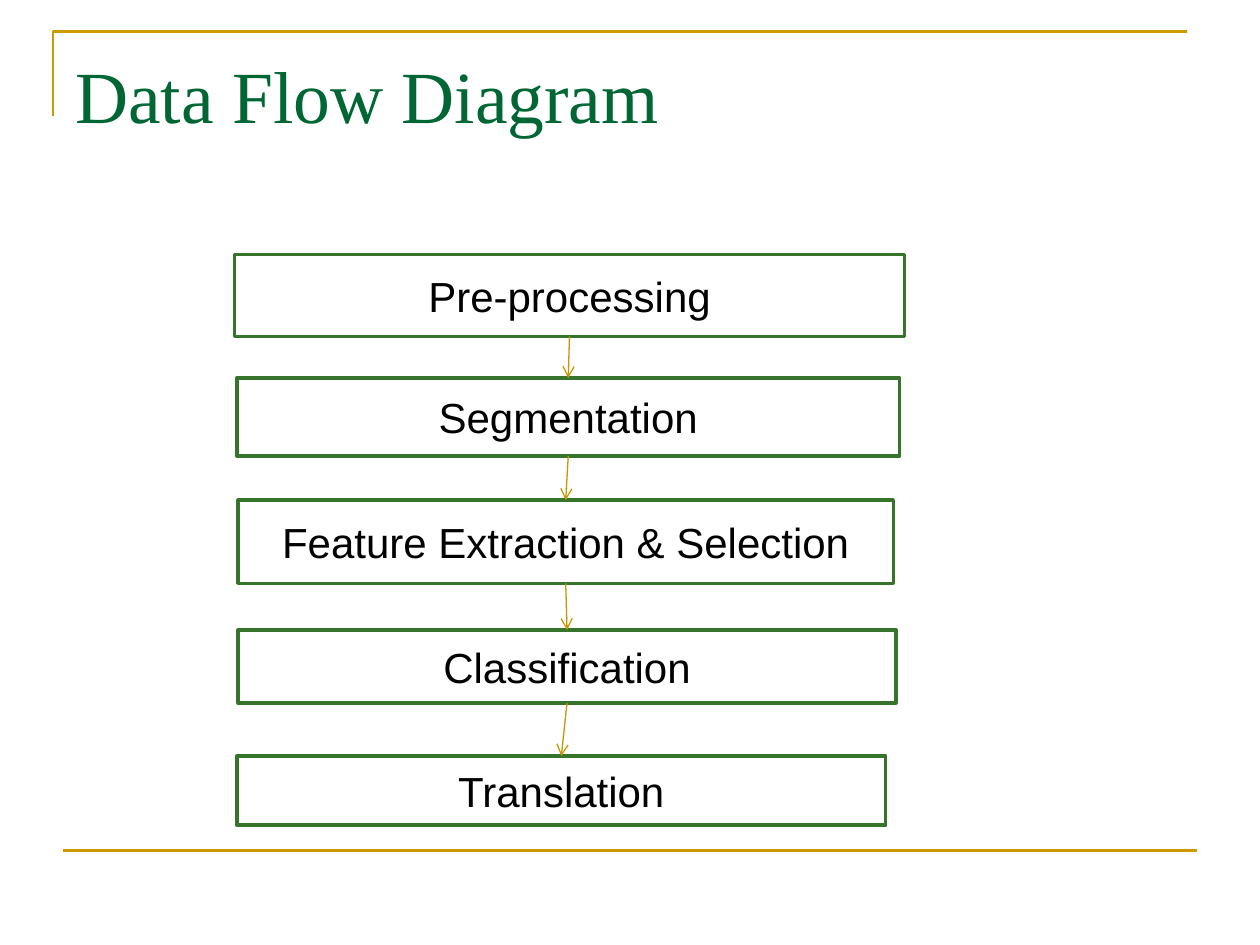
from itertools import pairwise

from lxml.etree import SubElement
from pptx import Presentation
from pptx.dml.color import RGBColor
from pptx.enum.shapes import MSO_CONNECTOR, MSO_SHAPE
from pptx.enum.text import MSO_ANCHOR, PP_ALIGN
from pptx.oxml.ns import qn
from pptx.util import Inches, Pt

COLORS = {
    "background": "FFFFFF",
    "frame": "CC9900",
    "title": "006633",
    "border": "35742A",
    "arrow": "C89600",
    "text": "000000",
}
STEPS = [
    ("Pre-processing", 0, 0, 5.32, 0.65),
    ("Segmentation", 0.02, 0.98, 5.26, 0.62),
    ("Feature Extraction & Selection", 0.03, 1.95, 5.2, 0.66),
    ("Classification", 0.03, 2.98, 5.22, 0.58),
    ("Translation", 0.02, 3.98, 5.15, 0.55),
]


def color(name):
    """Return the named colour."""
    return RGBColor.from_string(COLORS[name])


def add_text(paragraph, text, font_name, size, color_name):
    """Add one formatted run to a paragraph."""
    run = paragraph.add_run()
    run.text = text
    run.font.name = font_name
    run.font.size = Pt(size)
    run.font.color.rgb = color(color_name)


def add_line(slide, start, end, color_name, width):
    """Draw a straight line without a shadow."""
    points = [Inches(value) for value in (*start, *end)]
    connector = slide.shapes.add_connector(MSO_CONNECTOR.STRAIGHT, *points)
    connector.line.color.rgb = color(color_name)
    connector.line.width = Pt(width)
    SubElement(connector._element.spPr, qn("a:effectLst"))
    return connector


def add_frame(slide, left, top, width, height):
    """Draw the corner outline and the bottom rule."""
    builder = slide.shapes.build_freeform(Inches(left), Inches(top + 0.67))
    corner = [(left, top), (left + width, top)]
    builder.add_line_segments([(Inches(x), Inches(y)) for x, y in corner], close=False)
    outline = builder.convert_to_shape()
    outline.shadow.inherit = False
    outline.fill.background()
    outline.line.color.rgb = color("frame")
    outline.line.width = Pt(1.5)
    bottom = top + height
    add_line(slide, (left + 0.08, bottom), (left + width + 0.08, bottom), "frame", 1.5)


def add_title(slide, left, top, width, height):
    """Place the slide title."""
    box = slide.shapes.add_textbox(Inches(left), Inches(top), Inches(width), Inches(height))
    frame = box.text_frame
    frame.word_wrap = True
    frame.margin_top = Inches(0.1)
    add_text(frame.paragraphs[0], "Data Flow Diagram", "Times New Roman", 42, "title")


def add_step(slide, text, left, top, width, height):
    """Draw one step of the flow."""
    shape = slide.shapes.add_shape(
        MSO_SHAPE.RECTANGLE, Inches(left), Inches(top), Inches(width), Inches(height)
    )
    shape.shadow.inherit = False
    shape.fill.solid()
    shape.fill.fore_color.rgb = color("background")
    shape.line.color.rgb = color("border")
    shape.line.width = Pt(2)
    frame = shape.text_frame
    frame.word_wrap = True
    frame.vertical_anchor = MSO_ANCHOR.MIDDLE
    paragraph = frame.paragraphs[0]
    paragraph.alignment = PP_ALIGN.CENTER
    add_text(paragraph, text, "Arial", 24, "text")
    return shape


def add_flow(slide, left, top):
    """Stack the steps and join each one to the next."""
    shapes = [
        add_step(slide, text, left + x, top + y, width, height)
        for text, x, y, width, height in STEPS
    ]
    for source, target in pairwise(shapes):
        arrow = add_line(slide, (left, top), (left, top), "arrow", 0.75)
        arrow.begin_connect(source, 2)
        arrow.end_connect(target, 0)
        SubElement(arrow.line._get_or_add_ln(), qn("a:tailEnd"), type="arrow")


def main():
    """Build and save the slide."""
    presentation = Presentation()
    presentation.slide_width = Inches(10)
    presentation.slide_height = Inches(7.5)
    slide = presentation.slides.add_slide(presentation.slide_layouts[6])
    slide.background.fill.solid()
    slide.background.fill.fore_color.rgb = color("background")
    add_frame(slide, 0.42, 0.25, 9, 6.5)
    add_title(slide, 0.5, 0.3, 9, 1.25)
    add_flow(slide, 1.86, 2.02)
    presentation.save("out.pptx")


if __name__ == "__main__":
    main()
